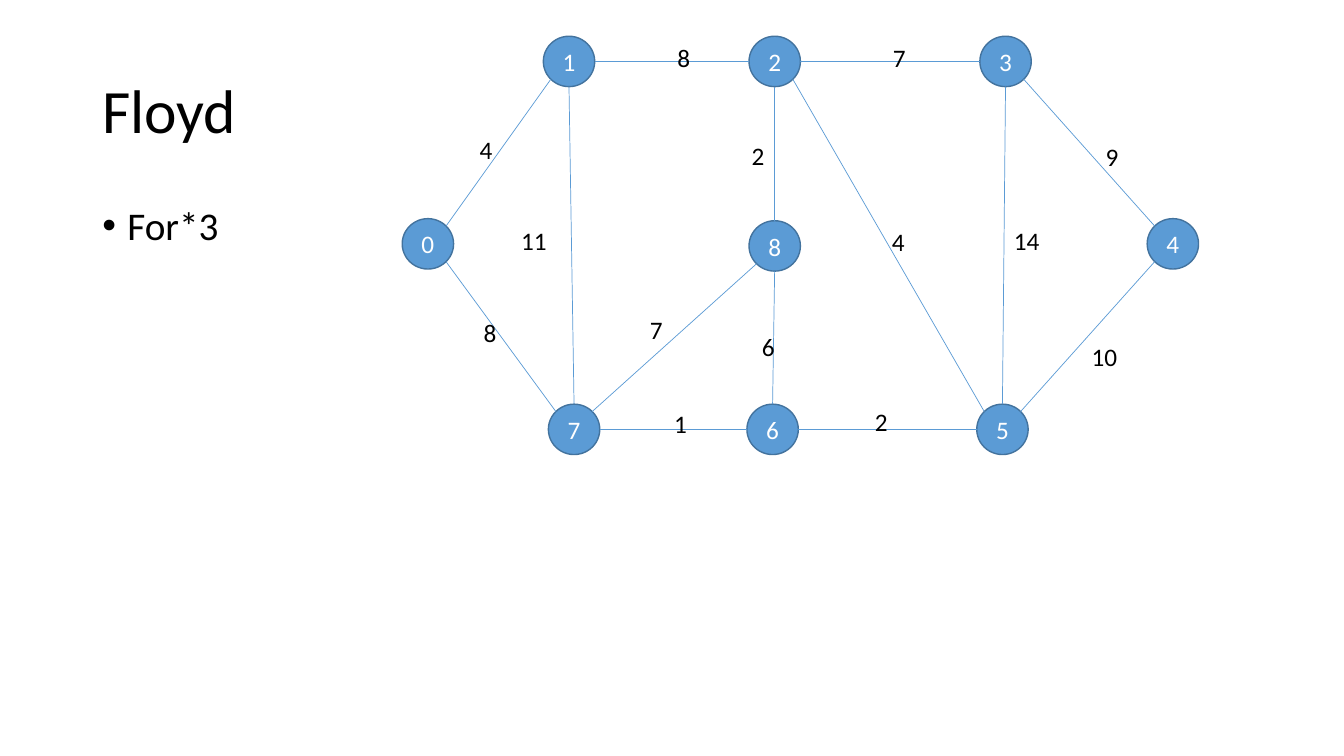
from dataclasses import dataclass
from math import atan2, cos, pi, sin

from lxml.etree import SubElement
from pptx import Presentation
from pptx.dml.color import RGBColor
from pptx.enum.shapes import MSO_CONNECTOR, MSO_SHAPE
from pptx.enum.text import MSO_ANCHOR, PP_ALIGN
from pptx.oxml.ns import qn
from pptx.util import Pt


@dataclass(frozen=True)
class Theme:
    font: str = "Calibri"
    ink: RGBColor = RGBColor(0x00, 0x00, 0x00)
    node_ink: RGBColor = RGBColor(0xFF, 0xFF, 0xFF)
    node_fill: RGBColor = RGBColor(0x5B, 0x9B, 0xD5)
    node_line: RGBColor = RGBColor(0x43, 0x73, 0x9E)
    title_size: int = 44
    body_size: int = 28
    graph_size: int = 18


@dataclass(frozen=True)
class Box:
    left: float
    top: float
    width: float
    height: float


THEME = Theme()
NODE_WIDTH, NODE_HEIGHT = 36.7, 36
LABEL_HEIGHT = 28.8

# Vertex: left and top within the graph box
VERTICES = {
    "0": (0, 130.3),
    "1": (100.8, 0),
    "7": (104.4, 262.8),
    "2": (247.7, 0),
    "6": (246.2, 262.8),
    "3": (412.6, 0),
    "5": (410.4, 262.8),
    "8": (247.7, 131.8),
    "4": (532.1, 130.3),
}

# Start, end, weight, then left, top and width of the weight within the graph box
EDGES = [
    ("0", "1", 4, 48.2, 66.3, 19.4),
    ("0", "7", 8, 51.1, 197.3, 26.6),
    ("1", "2", 8, 189.4, 0.7, 18.7),
    ("7", "6", 1, 187.2, 262.1, 22.3),
    ("1", "7", 11, 77.8, 131.8, 41),
    ("8", "7", 7, 169.9, 195.1, 25.9),
    ("2", "8", 2, 242.6, 70.6, 26.6),
    ("8", "6", 6, 249.8, 207.4, 19.4),
    ("2", "3", 7, 343.4, 0.7, 18.7),
    ("2", "5", 4, 342.7, 132.5, 28.8),
    ("6", "5", 2, 330.5, 260.7, 22.3),
    ("3", "4", 9, 495.4, 71.3, 20.9),
    ("5", "4", 10, 485.3, 214.6, 37.4),
    ("3", "5", 14, 429.8, 131.8, 40.3),
]


def write(frame, text, size, color):
    """Put one paragraph in the frame, format it and return it."""
    frame.word_wrap = True
    frame.text = text
    paragraph = frame.paragraphs[0]
    font = paragraph.runs[0].font
    font.name, font.size, font.color.rgb = THEME.font, Pt(size), color
    return paragraph


def add_text(shapes, box, text, size, anchor=MSO_ANCHOR.TOP):
    frame = shapes.add_textbox(
        Pt(box.left), Pt(box.top), Pt(box.width), Pt(box.height)
    ).text_frame
    frame.vertical_anchor = anchor
    return write(frame, text, size, THEME.ink)


def add_title(slide, box):
    title = add_text(slide.shapes, box, "Floyd", THEME.title_size, MSO_ANCHOR.MIDDLE)
    title.line_spacing = 0.9


def add_body(slide, box):
    loops = add_text(slide.shapes, box, "For*3", THEME.body_size)
    loops.line_spacing = 0.9
    loops.space_before = Pt(10)
    properties = loops._p.get_or_add_pPr()
    properties.set("marL", str(Pt(18)))
    properties.set("indent", str(-Pt(18)))
    SubElement(properties, qn("a:buFont"), typeface="Arial")
    SubElement(properties, qn("a:buChar"), char="•")


def add_vertex(shapes, box, name):
    vertex = shapes.add_shape(
        MSO_SHAPE.OVAL, Pt(box.left), Pt(box.top), Pt(box.width), Pt(box.height)
    )
    vertex.shadow.inherit = False
    vertex.fill.solid()
    vertex.fill.fore_color.rgb = THEME.node_fill
    vertex.line.color.rgb = THEME.node_line
    vertex.line.width = Pt(1)
    vertex.text_frame.vertical_anchor = MSO_ANCHOR.MIDDLE
    digit = write(vertex.text_frame, name, THEME.graph_size, THEME.node_ink)
    digit.alignment = PP_ALIGN.CENTER


def add_edge(shapes, start, end):
    """Join two vertex boxes at the rim points nearest, in 45° steps, to their direction."""
    x1, y1, x2, y2 = (
        start.left + start.width / 2, start.top + start.height / 2,
        end.left + end.width / 2, end.top + end.height / 2,
    )
    angle = round(atan2(y2 - y1, x2 - x1) / (pi / 4)) * pi / 4
    dx, dy = cos(angle) * NODE_WIDTH / 2, sin(angle) * NODE_HEIGHT / 2
    edge = shapes.add_connector(
        MSO_CONNECTOR.STRAIGHT, Pt(x1 + dx), Pt(y1 + dy), Pt(x2 - dx), Pt(y2 - dy)
    )
    edge.line.color.rgb = THEME.node_fill
    edge.line.width = Pt(0.5)
    SubElement(edge._element.spPr, qn("a:effectLst"))


def add_graph(slide, box):
    shapes = slide.shapes.add_group_shape().shapes
    vertex_boxes = {
        name: Box(box.left + x, box.top + y, NODE_WIDTH, NODE_HEIGHT)
        for name, (x, y) in VERTICES.items()
    }
    for name, vertex_box in vertex_boxes.items():
        add_vertex(shapes, vertex_box, name)
    for start, end, *_ in EDGES:
        add_edge(shapes, vertex_boxes[start], vertex_boxes[end])
    for _, _, weight, x, y, width in EDGES:
        weight_box = Box(box.left + x, box.top + y, width, LABEL_HEIGHT)
        add_text(shapes, weight_box, str(weight), THEME.graph_size)


def main():
    presentation = Presentation()
    presentation.slide_width, presentation.slide_height = Pt(960), Pt(540)
    slide = presentation.slides.add_slide(presentation.slide_layouts[6])
    add_title(slide, Box(66, 28.75, 828, 104.4))
    add_body(slide, Box(66, 143.75, 828, 342.6))
    add_graph(slide, Box(287.3, 25.9, 568.8, 298.8))
    presentation.save("out.pptx")


if __name__ == "__main__":
    main()
